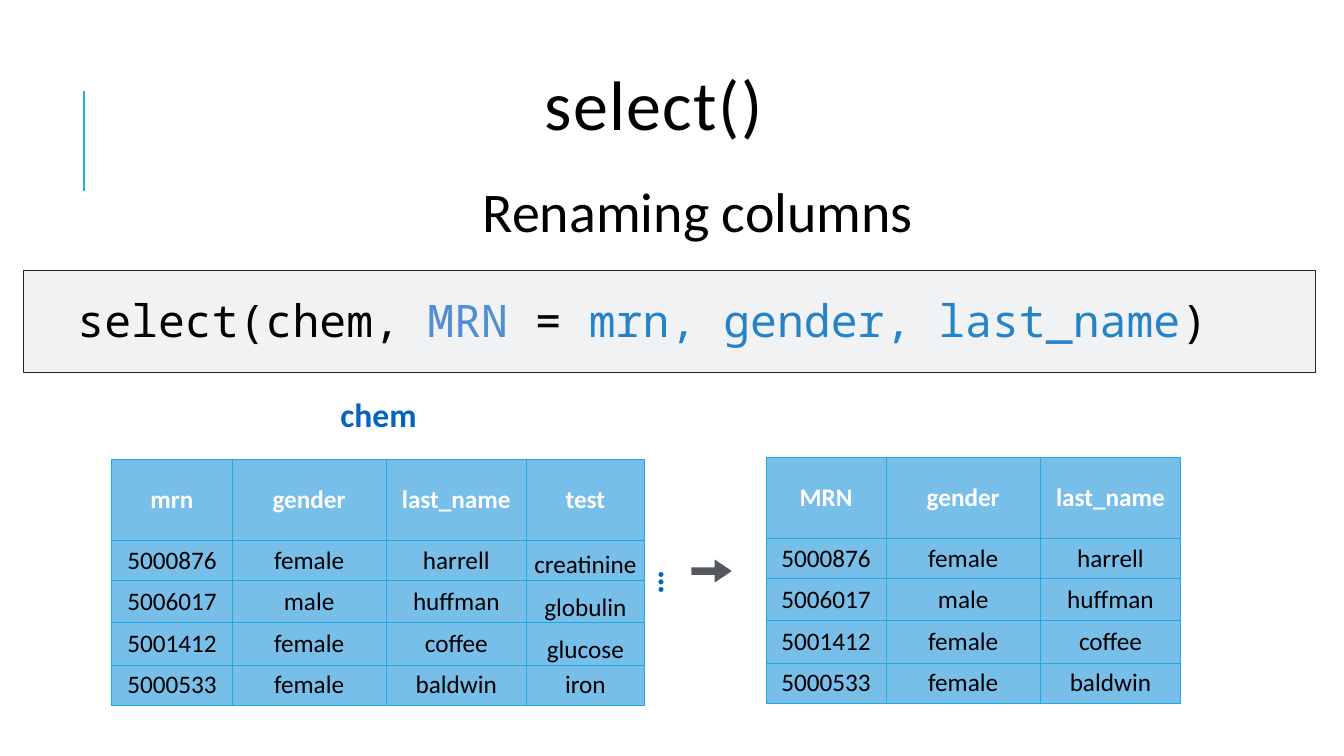
from dataclasses import dataclass

from lxml.etree import SubElement
from pptx import Presentation
from pptx.dml.color import RGBColor
from pptx.enum.shapes import MSO_CONNECTOR as Connector, MSO_SHAPE as Preset
from pptx.enum.text import MSO_ANCHOR as Anchor, MSO_AUTO_SIZE as AutoSize, PP_ALIGN as Align
from pptx.oxml.ns import qn
from pptx.util import Inches, Pt

COLOURS = {
    "black": "000000", "white": "FFFFFF", "accent": "1CADE4", "panel": "F0F2F4",
    "panel edge": "262626", "new name": "538DD5", "columns": "2683C6",
    "label": "0365C0", "arrow": "53585F", "cell": "77BEE9",
}
SLIDE_WIDTH, SLIDE_HEIGHT = Inches(13.333), Inches(7.5)
SANS, MONO = "Calibri", "Noto Sans Mono"

# Table sizes: widths and heights are percentages of the slide
COLUMN_WIDTHS = (8.93, 11.48, 10.43, 8.78)
ROW_HEIGHTS = (10.67, 5.33, 5.6, 5.6, 5.33)
CHEM_ROWS = (
    ("mrn", "gender", "last_name", "test"),
    ("5000876", "female", "harrell", "creatinine"),
    ("5006017", "male", "huffman", "globulin"),
    ("5001412", "female", "coffee", "glucose"),
    ("5000533", "female", "baldwin", "iron"),
)
SELECTED_ROWS = (("MRN", "gender", "last_name"),) + tuple(row[:3] for row in CHEM_ROWS[1:])


@dataclass(frozen=True)
class Box:
    """Position and size in percent of the slide."""
    left: float
    top: float
    width: float
    height: float

    def lengths(self) -> tuple:
        return across(self.left), down(self.top), across(self.width), down(self.height)


@dataclass(frozen=True)
class Words:
    text: str
    size: int
    colour: str = "black"
    font: str = SANS
    bold: bool = False


@dataclass(frozen=True)
class Label:
    box: Box
    words: tuple
    align: Align = Align.LEFT
    margins: tuple = (0.01, 0.01, 0, 0)
    rotation: int = 0


@dataclass(frozen=True)
class DataTable:
    left: float
    top: float
    rows: tuple


def across(share: float) -> int:
    return round(SLIDE_WIDTH * share / 100)


def down(share: float) -> int:
    return round(SLIDE_HEIGHT * share / 100)


def colour(name: str) -> RGBColor:
    return RGBColor.from_string(COLOURS[name])


def add_words(paragraph, words: Words):
    run = paragraph.add_run()
    run.text = words.text
    run.font.name = words.font
    run.font.size = Pt(words.size)
    run.font.bold = words.bold
    run.font.color.rgb = colour(words.colour)
    return run


def set_margins(target, margins: tuple) -> None:
    sides = ("margin_left", "margin_top", "margin_right", "margin_bottom")
    for side, length in zip(sides, margins):
        setattr(target, side, Inches(length))


def place(shape, box: Box) -> None:
    shape.left, shape.top, shape.width, shape.height = box.lengths()


def add_title(slide, box: Box, words: Words) -> None:
    title = slide.shapes.title
    place(title, box)
    frame = title.text_frame
    frame.word_wrap = True
    frame.auto_size = AutoSize.NONE
    frame.vertical_anchor = Anchor.TOP
    set_margins(frame, (0.01, 0.01, 0, 0))
    paragraph = frame.paragraphs[0]
    paragraph.alignment = Align.LEFT
    paragraph.line_spacing = 0.8
    run = add_words(paragraph, words)
    run.font._element.set("spc", "100")


def add_label(slide, label: Label) -> None:
    shape = slide.shapes.add_textbox(*label.box.lengths())
    shape.rotation = label.rotation
    frame = shape.text_frame
    frame.word_wrap = True
    set_margins(frame, label.margins)
    paragraph = frame.paragraphs[0]
    paragraph.alignment = label.align
    for words in label.words:
        add_words(paragraph, words)


def add_filled(slide, preset: Preset, box: Box, fill: str):
    shape = slide.shapes.add_shape(preset, *box.lengths())
    shape.shadow.inherit = False
    shape.fill.solid()
    shape.fill.fore_color.rgb = colour(fill)
    shape.line.fill.background()
    return shape


def add_borders(cell) -> None:
    properties = cell._tc.get_or_add_tcPr()
    for side in ("a:lnL", "a:lnR", "a:lnT", "a:lnB"):
        line = SubElement(properties, qn(side), w=str(Pt(0.75)))
        fill = SubElement(line, qn("a:solidFill"))
        SubElement(fill, qn("a:srgbClr"), val=COLOURS["accent"])


def add_data_table(slide, data: DataTable) -> None:
    widths = COLUMN_WIDTHS[:len(data.rows[0])]
    box = Box(data.left, data.top, sum(widths), sum(ROW_HEIGHTS))
    table = slide.shapes.add_table(len(data.rows), len(widths), *box.lengths()).table
    table.horz_banding = False
    for column, width in zip(table.columns, widths):
        column.width = across(width)
    for row, height in zip(table.rows, ROW_HEIGHTS):
        row.height = down(height)
    for row_index, row in enumerate(data.rows):
        header = row_index == 0
        for column_index, text in enumerate(row):
            cell = table.cell(row_index, column_index)
            # The test names sit low in their cells, except in the last row
            low = column_index == 3 and 0 < row_index < len(data.rows) - 1
            cell.vertical_anchor = Anchor.BOTTOM if low else Anchor.MIDDLE
            set_margins(cell, (0.01, 0.01, 0.01, 0) if low else (0, 0, 0, 0))
            add_borders(cell)
            cell.fill.solid()
            cell.fill.fore_color.rgb = colour("cell")
            paragraph = cell.text_frame.paragraphs[0]
            paragraph.alignment = Align.CENTER
            add_words(paragraph, Words(text, 18, "white" if header else "black", bold=header))


def main() -> None:
    presentation = Presentation()
    presentation.slide_width, presentation.slide_height = SLIDE_WIDTH, SLIDE_HEIGHT
    slide = presentation.slides.add_slide(presentation.slide_layouts[5])

    # Title and accent line
    add_title(slide, Box(40.43, 10, 23.18, 11.33), Words("select()", 50))
    accent = slide.shapes.add_connector(
        Connector.STRAIGHT, across(6.25), down(25.33), across(6.25), down(12))
    accent.line.color.rgb = colour("accent")
    accent.line.width = Pt(1.5)
    SubElement(accent._element.spPr, qn("a:effectLst"))

    # Code panel
    panel = add_filled(slide, Preset.RECTANGLE, Box(1.75, 35.73, 96.1, 13.6), "panel")
    panel.line.color.rgb = colour("panel edge")
    panel.line.width = Pt(0.75)

    # Arrow between the tables
    arrow = add_filled(slide, Preset.RIGHT_ARROW, Box(51.45, 74, 3, 3.07), "arrow")
    arrow.adjustments[0], arrow.adjustments[1] = 0.32, 0.74

    # Subtitle, code and table labels
    code = (("\tselect(chem, ", "black"), ("MRN", "new name"), (" = ", "black"),
            ("mrn, gender, last_name", "columns"), (")", "black"))
    labels = (
        Label(Box(35.85, 23.2, 50.55, 17.07), (Words("Renaming columns", 40),)),
        Label(Box(1.28, 38, 95.33, 8.53),
              tuple(Words(text, 32, name, MONO) for text, name in code),
              margins=(0.1, 0.05, 0.1, 0.05)),
        Label(Box(18.98, 52, 18.3, 6), (Words("chem", 24, "label", bold=True),), Align.CENTER),
        Label(Box(47.25, 76.53, 5.03, 6.53), (Words("…", 24, "label", bold=True),), rotation=90),
    )
    for label in labels:
        add_label(slide, label)

    # Tables before and after the selection
    for data in (DataTable(8.33, 60.8, CHEM_ROWS), DataTable(57, 60.53, SELECTED_ROWS)):
        add_data_table(slide, data)

    presentation.save("out.pptx")


if __name__ == "__main__":
    main()
